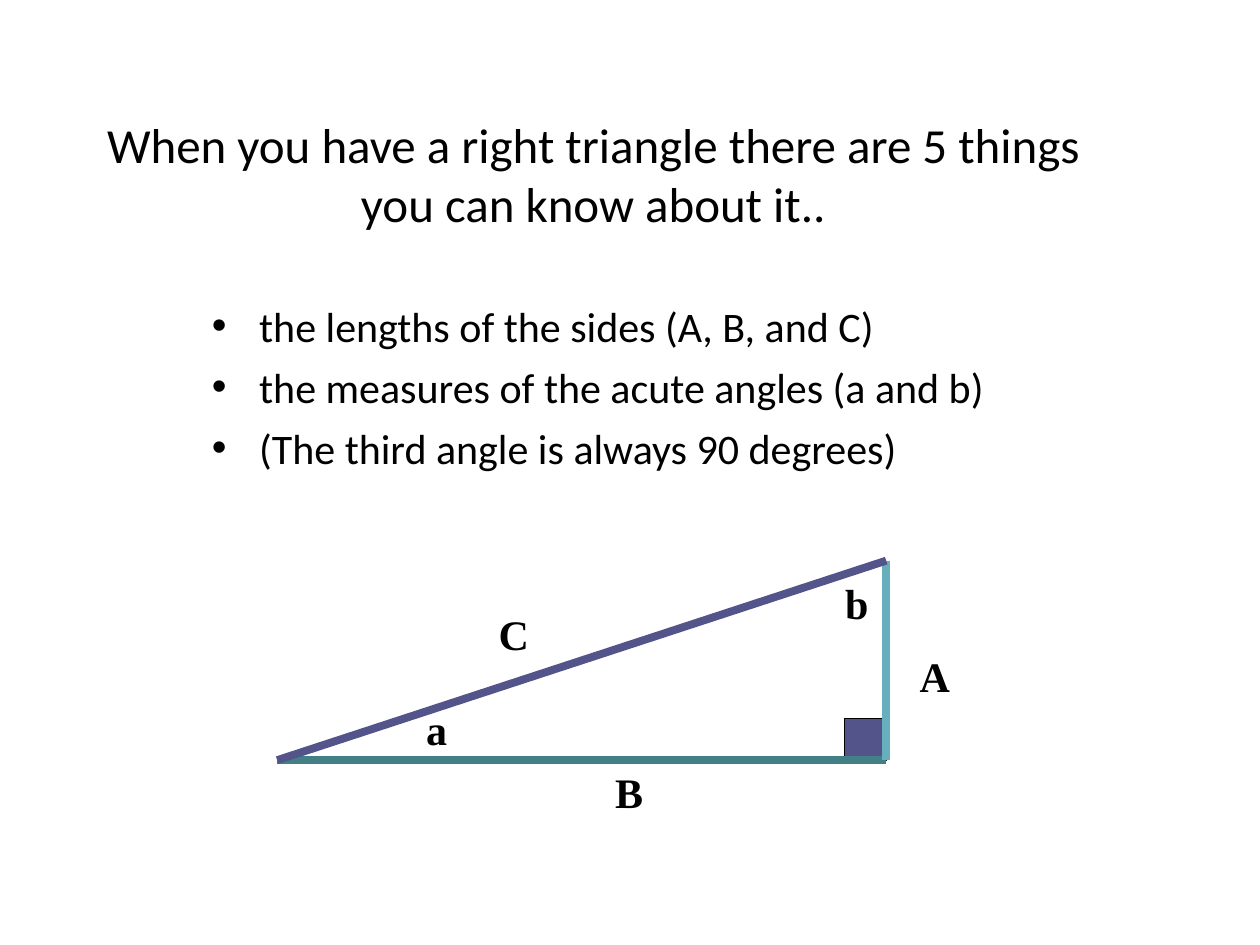
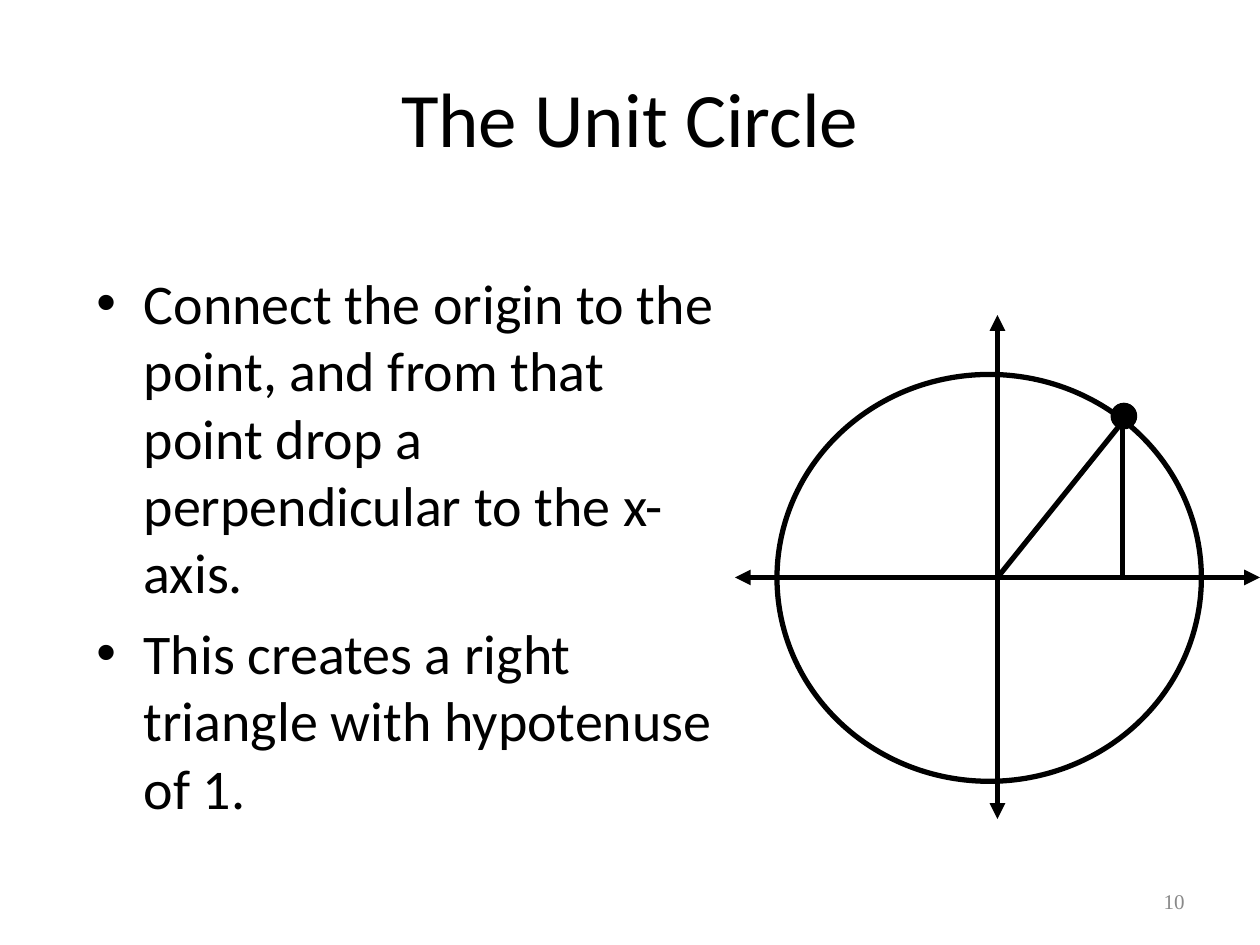
from collections import namedtuple

from lxml import etree
from pptx import Presentation
from pptx.dml.color import RGBColor
from pptx.enum import shapes, text
from pptx.oxml import ns
from pptx.util import Pt

COLORS = {
    "ink": "000000",
    "page": "FFFFFF",
    "footer": "898989",
    "hypotenuse": "53548A",
    "base": "438086",
    "height": "67AFBD",
}
BODY_FONT = "Calibri"
LABEL_FONT = "Times New Roman"
BULLET_INDENT = 27

Box = namedtuple("Box", "left top width height")


def color(name):
    return RGBColor.from_string(COLORS[name])


def add_page(deck):
    page = deck.slides.add_slide(deck.slide_layouts[6])
    page.background.fill.solid()
    page.background.fill.fore_color.rgb = color("page")
    return page


# Text parts
def add_text(page, box, lines, size, font=BODY_FONT, ink="ink", bold=False,
             align=text.PP_ALIGN.LEFT, anchor=text.MSO_ANCHOR.TOP,
             wrap=True, bullet=False, gap=0):
    frame = page.shapes.add_textbox(*map(Pt, box)).text_frame
    frame.word_wrap = wrap
    frame.vertical_anchor = anchor
    for index, line in enumerate(lines):
        para = frame.add_paragraph() if index else frame.paragraphs[0]
        if bullet:
            add_bullet(para)
        para.alignment = align
        if index:
            para.space_before = Pt(gap)
        span = para.add_run()
        span.text = line
        span.font.name = font
        span.font.size = Pt(size)
        span.font.bold = bold
        span.font.color.rgb = color(ink)
    return frame


def add_bullet(para):
    properties = para._p.get_or_add_pPr()
    properties.set("marL", str(Pt(BULLET_INDENT)))
    properties.set("indent", str(-Pt(BULLET_INDENT)))
    etree.SubElement(properties, ns.qn("a:buFont"), typeface="Arial")
    etree.SubElement(properties, ns.qn("a:buChar"), char="•")


def add_title(page, box, title, size):
    add_text(page, box, [title], size, align=text.PP_ALIGN.CENTER,
             anchor=text.MSO_ANCHOR.MIDDLE)


def add_bullets(page, box, lines, size, gap):
    add_text(page, box, lines, size, bullet=True, gap=gap)


def add_page_number(page, box, number):
    add_text(page, box, [number], 12, LABEL_FONT, "footer",
             align=text.PP_ALIGN.RIGHT, anchor=text.MSO_ANCHOR.MIDDLE)


# Drawing parts
def add_line(page, start, end, ink, width, arrows=False):
    line = page.shapes.add_connector(
        shapes.MSO_CONNECTOR.STRAIGHT, *map(Pt, (*start, *end)))
    line.line.color.rgb = color(ink)
    line.line.width = Pt(width)
    if arrows:
        outline = line.line._get_or_add_ln()
        for tip in ("a:headEnd", "a:tailEnd"):
            etree.SubElement(outline, ns.qn(tip), type="triangle")
    etree.SubElement(line._element.spPr, ns.qn("a:effectLst"))


def add_figure(page, kind, box, fill=None, width=0.75):
    figure = page.shapes.add_shape(kind, *map(Pt, box))
    figure.shadow.inherit = False
    if fill:
        figure.fill.solid()
        figure.fill.fore_color.rgb = color(fill)
    else:
        figure.fill.background()
    figure.line.color.rgb = color("ink")
    figure.line.width = Pt(width)


def draw_right_triangle(page, box):
    right, bottom = box.left + box.width, box.top + box.height
    acute_corner = (box.left, bottom)
    right_corner = (right, bottom)
    top_corner = (right, box.top)

    # Right-angle mark
    mark = 24
    add_figure(page, shapes.MSO_SHAPE.RECTANGLE,
               Box(right - mark, bottom - mark, mark, mark), "hypotenuse")

    # Sides
    for start, end, side in (
        (acute_corner, right_corner, "base"),
        (top_corner, right_corner, "height"),
        (top_corner, acute_corner, "hypotenuse"),
    ):
        add_line(page, start, end, side, 4.5)

    # Names of sides and angles
    for name, across, down in (
        ("A", 360, 48), ("C", 119.5, 24), ("B", 186, 114),
        ("a", 78, 78), ("b", 317.5, 6),
    ):
        label = Box(box.left + across, box.top + down, 36, 36)
        frame = add_text(page, label, [name], 24, LABEL_FONT, bold=True)
        frame.auto_size = text.MSO_AUTO_SIZE.SHAPE_TO_FIT_TEXT


def draw_unit_circle(page, box):
    def at(across, down):
        return box.left + across, box.top + down

    center, axis_level = box.width / 2, 150
    point_across, point_down = 221.5, 61
    stroke = 3

    # Axes
    add_line(page, at(center, 0), at(center, box.height), "ink", stroke, True)
    add_line(page, at(0, axis_level), at(box.width, axis_level),
             "ink", stroke, True)

    # Circle and its point
    oval = shapes.MSO_SHAPE.OVAL
    add_figure(page, oval, Box(*at(24, 34), 242.5, 232.5), width=stroke)
    add_figure(page, oval, Box(*at(215, 50.5), 14.5, 14.5), "ink")

    # Radius and perpendicular
    point = at(point_across, point_down)
    add_line(page, point, at(center, axis_level), "ink", stroke)
    add_line(page, point, at(point_across, axis_level - 1.5), "ink", stroke)


# Slides
def build_triangle_page(deck):
    page = add_page(deck)
    add_title(page, Box(42, 48, 594, 102),
              "When you have a right triangle there are 5 things "
              "you can know about it..", 28)
    add_bullets(page, Box(114, 168, 486, 132), [
        "the lengths of the sides (A, B, and C)",
        "the measures of the acute angles (a and b)",
        "(The third angle is always 90 degrees)",
    ], 24, 6)
    draw_right_triangle(page, Box(158.4, 320.4, 348, 114))


def build_circle_page(deck):
    page = add_page(deck)
    add_title(page, Box(36, 21.6, 648, 90), "The Unit Circle", 44)
    add_bullets(page, Box(48, 150, 378, 324), [
        "Connect the origin to the point, and from that point drop a "
        "perpendicular to the x-axis.",
        "This creates a right triangle with hypotenuse of 1.",
    ], 32, 8)
    add_page_number(page, Box(516, 500.5, 168, 28.8), "10")
    draw_unit_circle(page, Box(420, 180, 300, 288))


def main():
    deck = Presentation()
    deck.slide_width, deck.slide_height = Pt(720), Pt(540)
    build_triangle_page(deck)
    build_circle_page(deck)
    deck.save("out.pptx")


if __name__ == "__main__":
    main()
